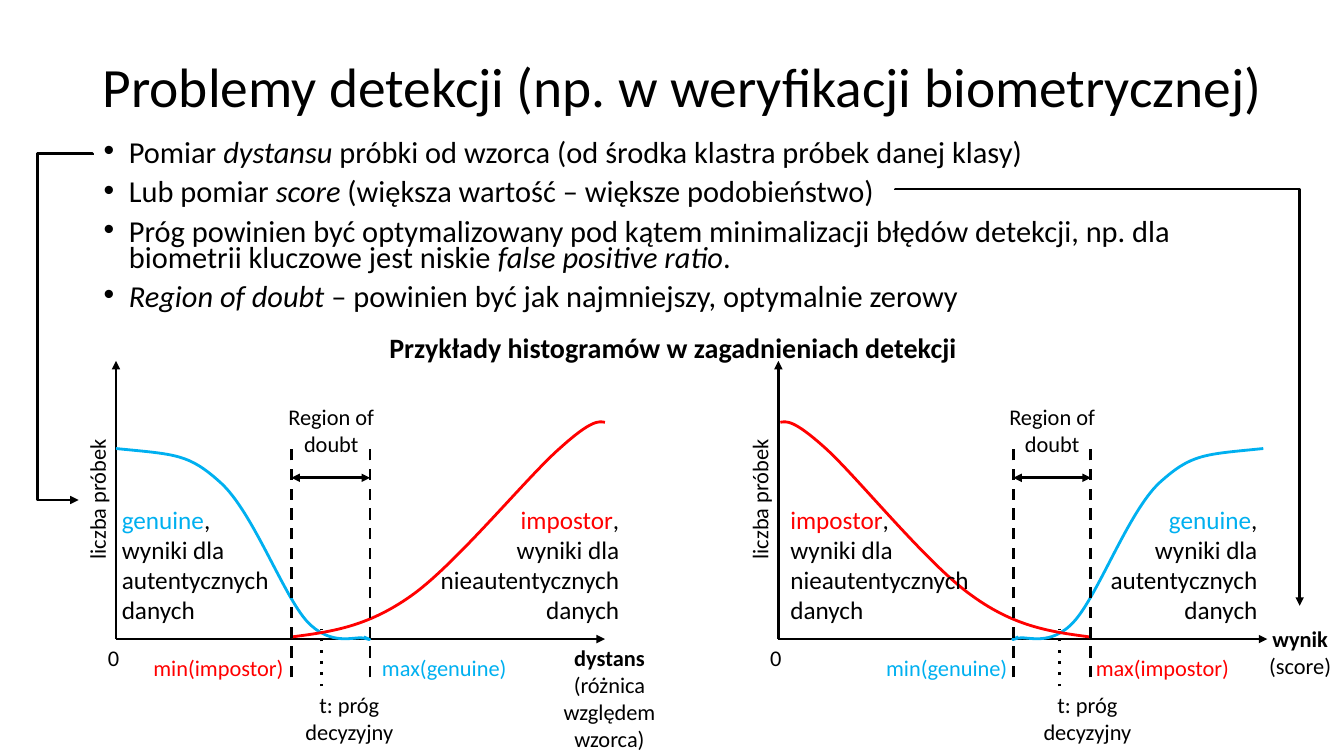
"""Build a slide on detection thresholds with two genuine/impostor histograms."""
from lxml import etree
from pptx import Presentation
from pptx import util as u
from pptx.dml.color import RGBColor
from pptx.enum import shapes, text
from pptx.oxml import ns

PX = 9144
BLACK, BLUE, RED = "000000", "00B0F0", "FF0000"
LEFT, CENTER, RIGHT = text.PP_ALIGN.LEFT, text.PP_ALIGN.CENTER, text.PP_ALIGN.RIGHT
ITALIC, BOLD = {"italic": True}, {"bold": True}

deck = Presentation()
deck.slide_width, deck.slide_height = 1333 * PX, 750 * PX
slide = deck.slides.add_slide(deck.slide_layouts[6])


def write(box, paragraphs, size=16, align=CENTER, color=BLACK, rotation=0, **spacing):
    """Add a text box; each paragraph is a list of (words, font values)."""
    label = slide.shapes.add_textbox(*(n * PX for n in box))
    label.rotation = rotation
    frame = label.text_frame
    frame.word_wrap = True
    for i, runs in enumerate(paragraphs):
        paragraph = frame.add_paragraph() if i else frame.paragraphs[0]
        for key, value in {"alignment": align, **spacing}.items():
            setattr(paragraph, key, value)
        for words, values in runs:
            run = paragraph.add_run()
            run.text = words
            values = {"name": "Calibri", "size": u.Pt(size), "color": color, **values}
            run.font.color.rgb = RGBColor.from_string(values.pop("color"))
            for key, value in values.items():
                setattr(run.font, key, value)
    return label


def connect(ends, dash=None, arrows=("tailEnd",), kind=shapes.MSO_CONNECTOR.STRAIGHT):
    """Add a black connector with optional dashes and arrowheads."""
    link = slide.shapes.add_connector(kind, *(n * PX for n in ends))
    link.line.width = u.Pt(2)
    link.line.color.rgb = RGBColor.from_string(BLACK)
    ln = link.line._get_or_add_ln()
    if dash:
        etree.SubElement(ln, ns.qn("a:prstDash"), val=dash)
    for arrow in arrows:
        etree.SubElement(ln, ns.qn("a:" + arrow), type="triangle")
    etree.SubElement(link._element.spPr, ns.qn("a:effectLst"))
    return link


title = write((92, 40, 1198, 97), [[("Problemy detekcji (np. w weryfikacji biometrycznej)", {})]],
              39.6, LEFT, line_spacing=0.9)
title.text_frame.vertical_anchor = text.MSO_ANCHOR.MIDDLE

points = write((93, 137, 1150, 190), [
    [("Pomiar ", {}), ("dystansu ", ITALIC),
     ("próbki od wzorca (od środka klastra próbek danej klasy)", {})],
    [("Lub pomiar ", {}), ("score ", ITALIC), ("(większa wartość – większe podobieństwo)", {})],
    [("Próg powinien być optymalizowany pod kątem minimalizacji błędów detekcji, "
      "np. dla biometrii kluczowe jest niskie ", {}), ("false positive ratio", ITALIC), (".", {})],
    [("Region of doubt", ITALIC), (" – powinien być jak najmniejszy, optymalnie zerowy", {})],
], 21.7, LEFT, line_spacing=0.7)
for i, point in enumerate(points.text_frame.paragraphs):
    point.space_before = u.Pt(10 if i else 0)
    props = point._p.get_or_add_pPr()
    props.set("marL", str(25 * PX))
    props.set("indent", str(-25 * PX))
    etree.SubElement(props, ns.qn("a:buFont"), typeface="Arial")
    etree.SubElement(props, ns.qn("a:buChar"), char="•")

curves = {
    BLUE: [(115, 445), (175, 451), (187, 450), (219, 479), (251, 508), (281, 591), (305, 617),
           (329, 642), (352, 631), (361, 633), (371, 636), (366, 634), (361, 632)],
    RED: [(289, 632), (326, 627), (363, 623), (408, 591), (452, 560), (523, 473), (555, 445),
          (587, 416), (594, 418), (600, 419)],
}
genuine = [[("genuine", {"color": BLUE}), (",", {})], [("wyniki dla autentycznych danych", {})]]
impostor = [[("impostor", {"color": RED}), (",", {})], [("wyniki dla nieautentycznych danych", {})]]
histograms = [
    {"axis": 115, "doubt": (289, 367), "threshold": 319, "shift": 0, "stretch": 1,
     "classes": [((111, 495, 176, 131), genuine, LEFT), ((414, 495, 210, 131), impostor, RIGHT)],
     "limits": [(140, "min(impostor)", RED, RIGHT), (369, "max(genuine)", BLUE, LEFT)],
     "measure": ((529, 634, 151, 118), "dystans", " (różnica względem wzorca)")},
    {"axis": 772, "doubt": (1005, 1082), "threshold": 1051, "shift": 1366.5, "stretch": -0.987,
     "classes": [((774, 495, 208, 131), impostor, LEFT), ((1083, 495, 174, 131), genuine, RIGHT)],
     "limits": [(858, "min(genuine)", BLUE, RIGHT), (1077, "max(impostor)", RED, LEFT)],
     "measure": ((1223, 615, 133, 64), "wynik", " (score)")},
]

for histogram in histograms:
    axis, threshold = histogram["axis"], histogram["threshold"]
    start, end = histogram["doubt"]
    connect((axis, 634, axis + 485, 634))
    connect((axis, 634, axis, 358))
    for color, knots in curves.items():
        (x, y), *rest = [(round(histogram["shift"] + histogram["stretch"] * x), y)
                         for x, y in knots]
        builder = slide.shapes.build_freeform(x, y, scale=PX)
        builder.add_line_segments(rest, close=False)
        curve = builder.convert_to_shape()
        curve.shadow.inherit = False
        curve.fill.background()
        curve.line.width = u.Pt(2)
        curve.line.color.rgb = RGBColor.from_string(color)
        outline = curve._element.xpath(".//a:path")[0]
        segments = list(outline)[1:]
        for i in range(0, len(segments), 3):
            bend = etree.SubElement(outline, ns.qn("a:cubicBezTo"))
            for segment in segments[i:i + 3]:
                bend.append(segment[0])
                outline.remove(segment)
    for edge in (start, end):
        connect((edge, 672, edge, 442), "dash", ())
    connect((threshold, 681, threshold, 624), "dot", ())
    connect((start, 474, end, 474), arrows=("headEnd", "tailEnd"))
    write(((start + end) // 2 - 75, 395, 151, 64), [[("Region of doubt", {})]])
    write((threshold - 48, 681, 151, 64), [[("t: próg decyzyjny", {})]])
    write((axis - 78, 634, 151, 37), [[("0", {})]])
    write((axis - 94, 477, 151, 37), [[("liczba próbek", {})]], rotation=270)
    for box, lines, align in histogram["classes"]:
        write(box, lines, 18, align)
    for left, limit, color, align in histogram["limits"]:
        write((left, 644, 179, 37) if align == LEFT else (left, 644, 151, 37),
              [[(limit, {})]], align=align, color=color)
    box, name, detail = histogram["measure"]
    write(box, [[(name, BOLD), (detail, {})]])

write((364, 323, 607, 44), [[("Przykłady histogramów w zagadnieniach detekcji", BOLD)]], 20)

elbows = [
    ((-86, 318, 256, 332), {"rot": "5400000"}, "bentConnector4", (-400, 392300)),
    ((882, 194, 1295, 595), {"rot": "16200000", "flipH": "1"}, "bentConnector3", (-100,)),
]
for ends, turn, preset, bends in elbows:
    properties = connect(ends, kind=shapes.MSO_CONNECTOR.ELBOW)._element.spPr
    for key, value in turn.items():
        properties.find(ns.qn("a:xfrm")).set(key, value)
    geometry = properties.find(ns.qn("a:prstGeom"))
    geometry.set("prst", preset)
    adjustments = geometry.find(ns.qn("a:avLst"))
    for i, bend in enumerate(bends, 1):
        etree.SubElement(adjustments, ns.qn("a:gd"), name=f"adj{i}", fmla=f"val {bend}")

deck.save("out.pptx")
